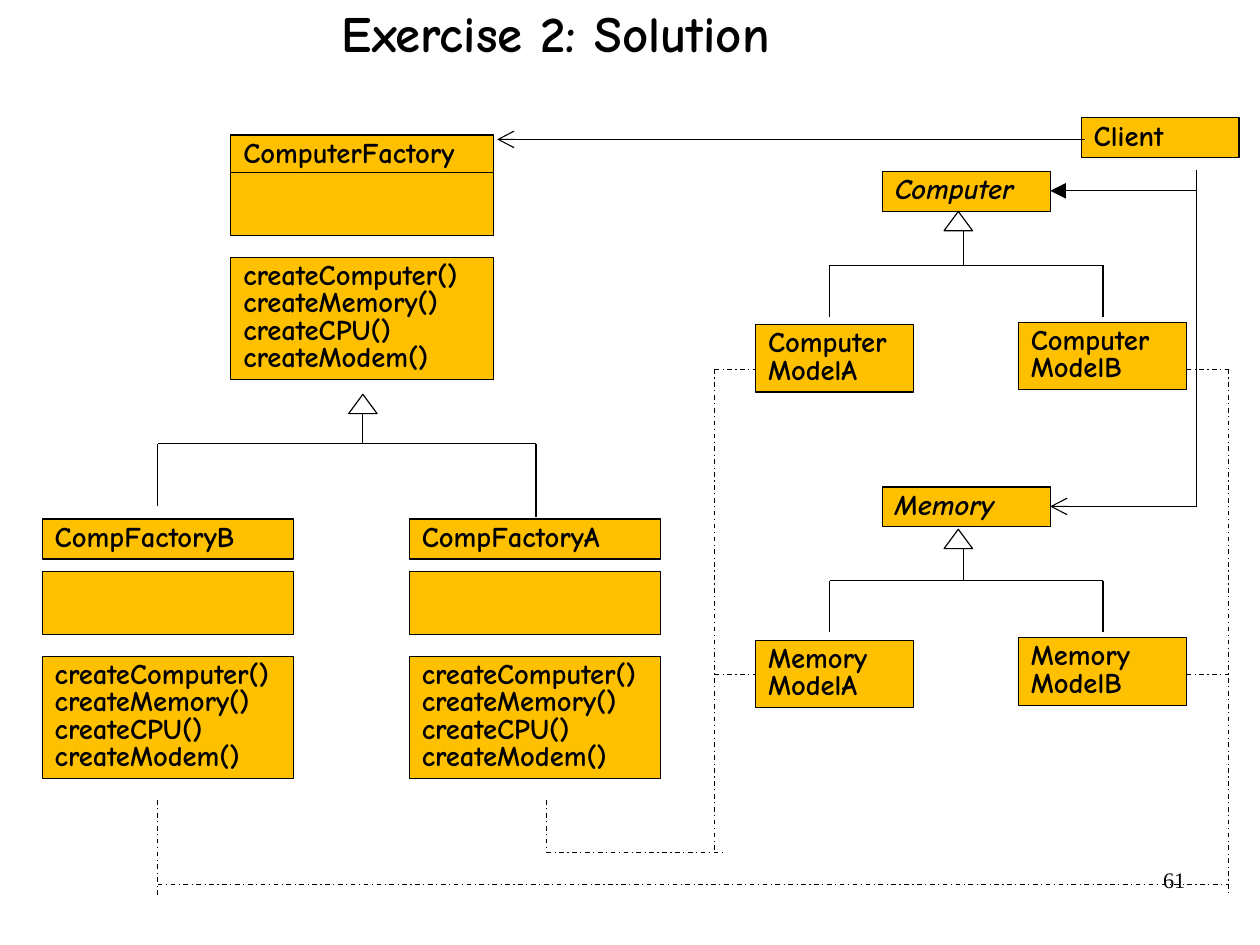
from lxml import etree
from pptx import Presentation
from pptx.dml.color import RGBColor
from pptx.enum.dml import MSO_LINE
from pptx.enum.shapes import MSO_CONNECTOR, MSO_SHAPE
from pptx.enum.text import MSO_ANCHOR, MSO_AUTO_SIZE, PP_ALIGN
from pptx.oxml.ns import qn
from pptx.util import Pt

RECTANGLE, TRIANGLE = MSO_SHAPE.RECTANGLE, MSO_SHAPE.ISOSCELES_TRIANGLE
STRAIGHT, DASH_DOT = MSO_CONNECTOR.STRAIGHT, MSO_LINE.DASH_DOT
MIDDLE, TOP = MSO_ANCHOR.MIDDLE, MSO_ANCHOR.TOP
LEFT, CENTER, RIGHT = PP_ALIGN.LEFT, PP_ALIGN.CENTER, PP_ALIGN.RIGHT
GROW = MSO_AUTO_SIZE.SHAPE_TO_FIT_TEXT
ORANGE, BLACK = "FFC000", "000000"
COMIC, TIMES = "Comic Neue", "Times New Roman"

# Content: text, left, top, width, height
TITLE = ("Exercise 2: Solution", 13, 6.5, 674.6, 33.1)
NUMBER = ("61", 568.8, 542.2, 185, 41)
CLIENT = ("Client", 681.1, 74.2, 99.4, 25.2)
METHODS = "createComputer()\ncreateMemory()\ncreateCPU()\ncreateModem()"

# Factories: name, left, width, tops of the name, field and method boxes
FACTORIES = [
    ("ComputerFactory", 145.4, 165.6, (85, 108.7, 162)),
    ("CompFactoryB", 26.6, 158.4, (326.9, 360, 413.3)),
    ("CompFactoryA", 257.8, 158.4, (326.9, 360, 413.3)),
]
# Products: name, top, top of the triangle
PRODUCTS = [("Computer", 108, 133.2), ("Memory", 306.7, 333.4)]
# Models: suffix, left, offset below the product, width
MODELS = [("ModelA", 475.9, 96.5, 99.4), ("ModelB", 641.5, 95, 105.8)]
PRODUCT_LEFT, PRODUCT_WIDTH = 555.8, 105.8
NAME_HEIGHT, FIELD_HEIGHT, METHOD_HEIGHT, MODEL_HEIGHT = 25.2, 39.6, 77, 42.5

# Client lines: start x, start y, end x, end y, arrowhead
CLIENT_LINES = [
    (753.8, 107.3, 753.8, 319, None),
    (753.8, 319, 661.6, 319, "arrow"),
    (753.8, 120.2, 661.6, 120.2, "triangle"),
    (683.3, 87.8, 313.2, 87.8, "arrow"),
]
# Dashed lines from each factory to the models it creates
MODEL_ROWS = (232.6, 424.8)
DASHED_LINES = [
    (99.4, 504, 99.4, 563.8),
    (774, MODEL_ROWS[0], 774, 563.8),
    (99.4, 557.3, 774, 557.3),
    (344.2, 504, 344.2, 537.1),
    (450, MODEL_ROWS[0], 450, 537.1),
    (344.2, 537.1, 456.5, 537.1),
]
for row in MODEL_ROWS:
    DASHED_LINES += [(747.4, row, 774, row), (450, row, 475.9, row)]

deck = Presentation()
deck.slide_width, deck.slide_height = Pt(793.75), Pt(595.25)
page = deck.slides.add_slide(deck.slide_layouts[6])


def color(hex_code):
    return RGBColor.from_string(hex_code)


def write(frame, text, font, size, align, anchor, spacing, margins, bold=True, italic=False):
    frame.vertical_anchor = anchor
    frame.margin_left = frame.margin_right = Pt(margins[0])
    frame.margin_top = frame.margin_bottom = Pt(margins[1])
    para = frame.paragraphs[0]
    para.text = text
    para.alignment = align
    para.line_spacing = spacing
    para.font.name = font
    para.font.size = Pt(size)
    para.font.bold = bold
    para.font.italic = italic
    para.font.color.rgb = color(BLACK)


def add_text(content, *style, **emphasis):
    text, *place = content
    box = page.shapes.add_textbox(*map(Pt, place))
    box.text_frame.word_wrap = True
    write(box.text_frame, text, *style, **emphasis)


def add_outline(kind, left, top, width, height, fill=None):
    shape = page.shapes.add_shape(kind, Pt(left), Pt(top), Pt(width), Pt(height))
    shape.shadow.inherit = False
    if fill:
        shape.fill.solid()
        shape.fill.fore_color.rgb = color(fill)
    else:
        shape.fill.background()
    shape.line.color.rgb = color(BLACK)
    shape.line.width = Pt(0.75)
    return shape


def add_box(text, left, top, width, height, italic=False):
    box = add_outline(RECTANGLE, left, top, width, height, ORANGE)
    if text:
        # An unwrapped block that fits its text sits in the middle of the box
        box.text_frame.word_wrap = False
        box.text_frame.auto_size = GROW
        write(box.text_frame, text, COMIC, 18, LEFT, MIDDLE, 0.8, (7.9, 4.3), italic=italic)


def add_line(x1, y1, x2, y2, head=None, dash=None):
    line = page.shapes.add_connector(STRAIGHT, Pt(x1), Pt(y1), Pt(x2), Pt(y2))
    line.line.color.rgb = color(BLACK)
    line.line.width = Pt(0.75)
    if dash:
        line.line.dash_style = dash
    if head:
        outline = line._element.spPr.find(qn("a:ln"))
        etree.SubElement(outline, qn("a:tailEnd"), type=head, w="lg", len="lg")
    etree.SubElement(line._element.spPr, qn("a:effectLst"))


def add_tree(triangle_left, triangle_top, stem, bar, branches):
    add_outline(TRIANGLE, triangle_left, triangle_top, 18, 12.2)
    add_line(stem, triangle_top + 12.2, stem, bar)
    add_line(branches[0][0], bar, branches[-1][0], bar)
    for x, bottom in branches:
        add_line(x, bottom, x, bar)


# Page number and title
add_text(NUMBER, TIMES, 14, RIGHT, TOP, 1, (7.2, 3.6), bold=False)
add_text(TITLE, COMIC, 32, CENTER, MIDDLE, 0.88, (0, 0))

# Factories
for name, left, width, (name_top, field_top, method_top) in FACTORIES:
    add_box(name, left, name_top, width, NAME_HEIGHT)
    add_box("", left, field_top, width, FIELD_HEIGHT)
    add_box(METHODS, left, method_top, width, METHOD_HEIGHT)
add_tree(219.6, 248.4, 228.6, 279.4, [(99.4, 319), (337.7, 325.4)])

# Products and their models
for name, top, triangle_top in PRODUCTS:
    add_box(name, PRODUCT_LEFT, top, PRODUCT_WIDTH, NAME_HEIGHT, italic=True)
    for suffix, left, offset, width in MODELS:
        add_box(f"{name}\n{suffix}", left, top + offset, width, MODEL_HEIGHT)
    bottom = top + 91.4
    add_tree(594.7, triangle_top, 607, top + 59, [(522.7, bottom), (694.8, bottom)])

# Client and links
add_box(*CLIENT)
for link in DASHED_LINES:
    add_line(*link, dash=DASH_DOT)
for link in CLIENT_LINES:
    add_line(*link)

deck.save("out.pptx")
